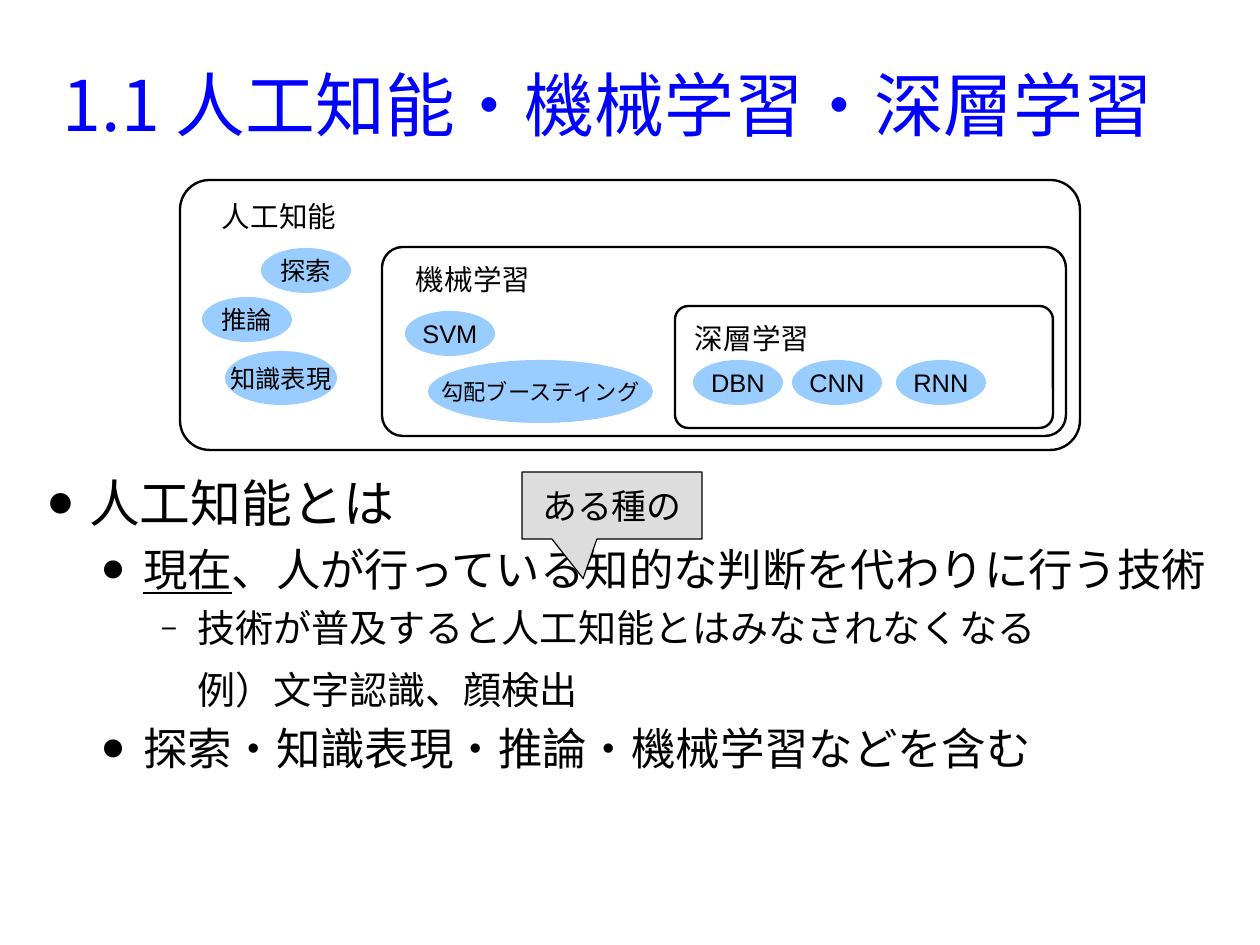
from lxml import etree
from pptx import Presentation
from pptx.dml.color import RGBColor
from pptx.enum.shapes import MSO_SHAPE
from pptx.enum.text import MSO_ANCHOR, PP_ALIGN
from pptx.oxml.ns import qn
from pptx.util import Emu, Pt

ROUNDED = MSO_SHAPE.ROUNDED_RECTANGLE
ELLIPSE = MSO_SHAPE.OVAL
CALLOUT = MSO_SHAPE.RECTANGULAR_CALLOUT
TOP, MIDDLE = MSO_ANCHOR.TOP, MSO_ANCHOR.MIDDLE
LEFT, CENTER = PP_ALIGN.LEFT, PP_ALIGN.CENTER

EMU_PER_PX = 8000
BLACK, BLUE, SKY, GREY = "000000", "0000FF", "99CCFF", "DDDDDD"
LATIN, JAPANESE = "Arial", "Noto Sans CJK JP"


def px(length):
    return Emu(length * EMU_PER_PX)


def colour(value):
    return RGBColor.from_string(value)


class SlideBuilder:
    def __init__(self, width, height):
        self.presentation = Presentation()
        self.presentation.slide_width = px(width)
        self.presentation.slide_height = px(height)
        blank = self.presentation.slide_layouts[6]
        self.slide = self.presentation.slides.add_slide(blank)

    def add_run(self, paragraph, text, size, font=LATIN, ink=BLACK, underline=False):
        run = paragraph.add_run()
        run.text = text
        run.font.size = Pt(size)
        run.font.name = font
        run.font.color.rgb = colour(ink)
        if underline:
            run.font.underline = True
        east_asian = etree.Element(qn("a:ea"), typeface=JAPANESE)
        run.font._element.find(qn("a:latin")).addnext(east_asian)

    def set_frame(self, shape, margins, anchor, wrap):
        frame = shape.text_frame
        frame.margin_left = frame.margin_right = px(margins[0])
        frame.margin_top = frame.margin_bottom = px(margins[1])
        frame.vertical_anchor = anchor
        frame.word_wrap = wrap
        return frame

    def text_box(self, box, margins=(0, 0), anchor=TOP, wrap=True):
        shape = self.slide.shapes.add_textbox(*map(px, box))
        return self.set_frame(shape, margins, anchor, wrap)

    def label(self, box, text, size):
        frame = self.text_box(box, (11, 6), wrap=False)
        self.add_run(frame.paragraphs[0], text, size)

    def shape(self, kind, box, fill=None, line=None, adjustments=(), text="", size=16):
        shape = self.slide.shapes.add_shape(kind, *map(px, box))
        shape.shadow.inherit = False
        for index, value in enumerate(adjustments):
            shape.adjustments[index] = value
        if fill:
            shape.fill.solid()
            shape.fill.fore_color.rgb = colour(fill)
        else:
            shape.fill.background()
        if line is None:
            shape.line.fill.background()
        else:
            shape.line.color.rgb = colour(BLACK)
            shape.line.width = Pt(line)
        if text:
            frame = self.set_frame(shape, (11, 6), MIDDLE, False)
            frame.paragraphs[0].alignment = CENTER
            self.add_run(frame.paragraphs[0], text, size)

    def outline(self, box, rows):
        frame = self.text_box(box)
        for index, (level, indent, hanging, bullet, percent, size, runs) in enumerate(rows):
            paragraph = frame.add_paragraph() if index else frame.paragraphs[0]
            properties = paragraph._p.get_or_add_pPr()
            properties.set("marL", str(px(indent)))
            properties.set("indent", str(px(-hanging)))
            if bullet:
                bullet_colour = etree.SubElement(properties, qn("a:buClr"))
                etree.SubElement(bullet_colour, qn("a:srgbClr"), val=BLACK)
                etree.SubElement(properties, qn("a:buSzPct"), val=str(percent * 1000))
                etree.SubElement(properties, qn("a:buFont"), typeface=JAPANESE)
                etree.SubElement(properties, qn("a:buChar"), char=bullet)
            else:
                etree.SubElement(properties, qn("a:buNone"))
                paragraph.line_spacing = 1.15
            paragraph.level = level
            paragraph.alignment = LEFT
            paragraph.space_after = Pt(5.7)
            for text, underline in runs:
                self.add_run(paragraph, text, size, JAPANESE, underline=underline)


def main():
    builder = SlideBuilder(1260, 945)

    # Title
    title = builder.text_box((63, 17, 1152, 171), anchor=MIDDLE).paragraphs[0]
    title.line_spacing = Pt(53.9)
    builder.add_run(title, "1.1 人工知能・機械学習・深層学習", 44, JAPANESE, BLUE)

    # Explanation
    builder.outline((35, 472, 1182, 427), [
        (0, 54, 40, "●", 45, 32, [("人工知能とは", False)]),
        (1, 108, 40, "●", 45, 28, [
            ("現在", True),
            ("、人が行っている知的な判断を代わりに行う技術", False)]),
        (2, 162, 36, "−", 75, 24, [("技術が普及すると人工知能とはみなされなくなる", False)]),
        (2, 162, 0, None, 0, 24, [("例）文字認識、顔検出", False)]),
        (1, 108, 40, "●", 45, 28, [("探索・知識表現・推論・機械学習などを含む", False)]),
    ])

    # Nested fields
    fields = [
        ("人工知能", (180, 180, 900, 270), (211, 193)),
        ("機械学習", (382, 247, 684, 189), (405, 256)),
        ("深層学習", (675, 306, 378, 122), (684, 315)),
    ]
    for name, box, corner in fields:
        builder.shape(ROUNDED, box, line=1.5, adjustments=[0.11])
    for name, box, corner in fields:
        builder.label((*corner, 137, 54), name, 18)

    # Methods in each field
    for name, left, top in [
        ("探索", 261, 248), ("推論", 202, 297), ("SVM", 405, 311),
        ("DBN", 693, 360), ("CNN", 792, 360), ("RNN", 896, 360),
    ]:
        builder.shape(ELLIPSE, (left, top, 90, 45), SKY, text=name)
    builder.shape(ELLIPSE, (225, 351, 112, 54), SKY, text="知識表現")
    builder.shape(ELLIPSE, (428, 360, 225, 63), SKY, text="勾配ブースティング", size=14)

    # Remark on the definition
    builder.shape(CALLOUT, (522, 472, 180, 67), GREY, line=0,
                  adjustments=[-0.16, 1.09], text="ある種の", size=22)

    builder.presentation.save("out.pptx")


if __name__ == "__main__":
    main()
